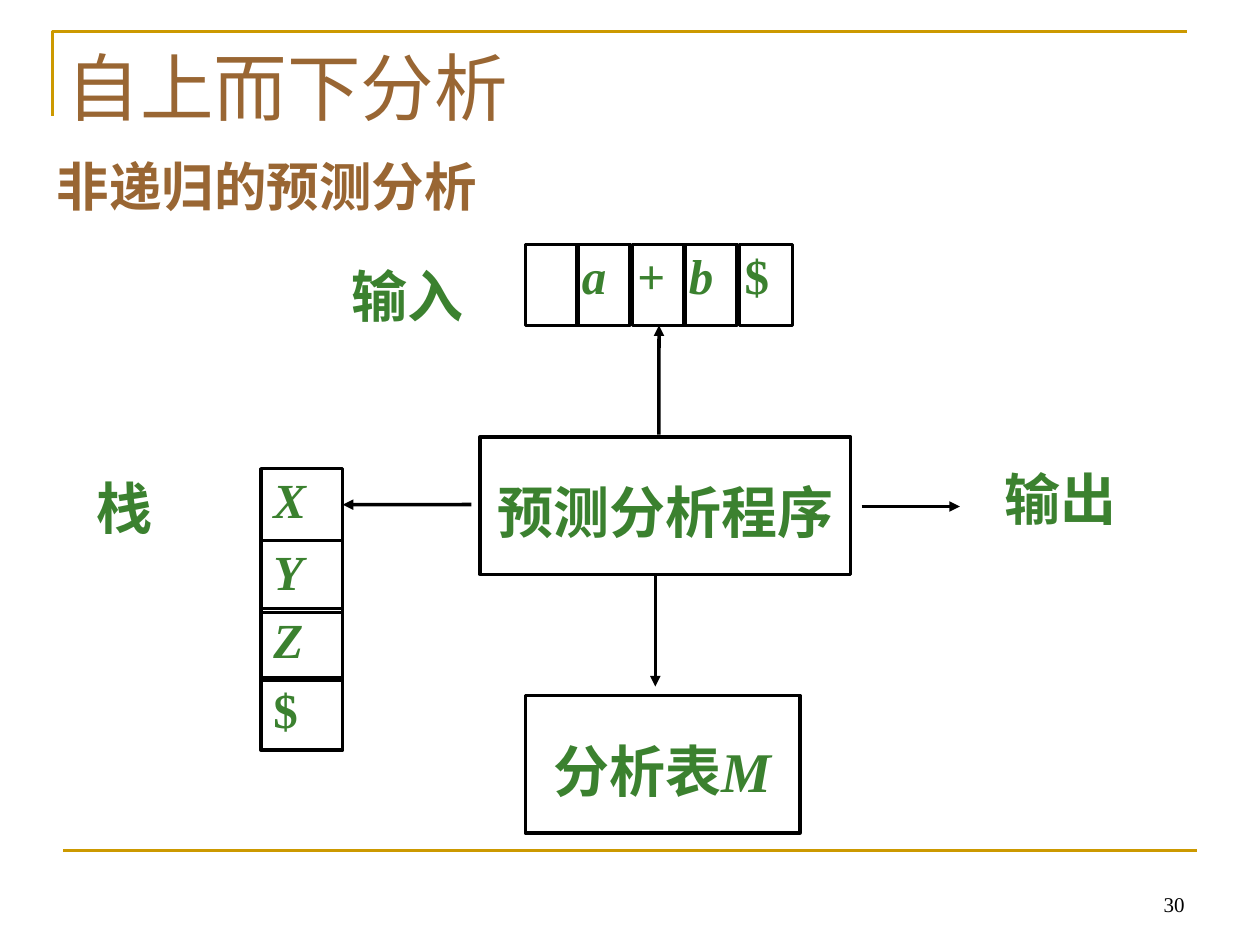
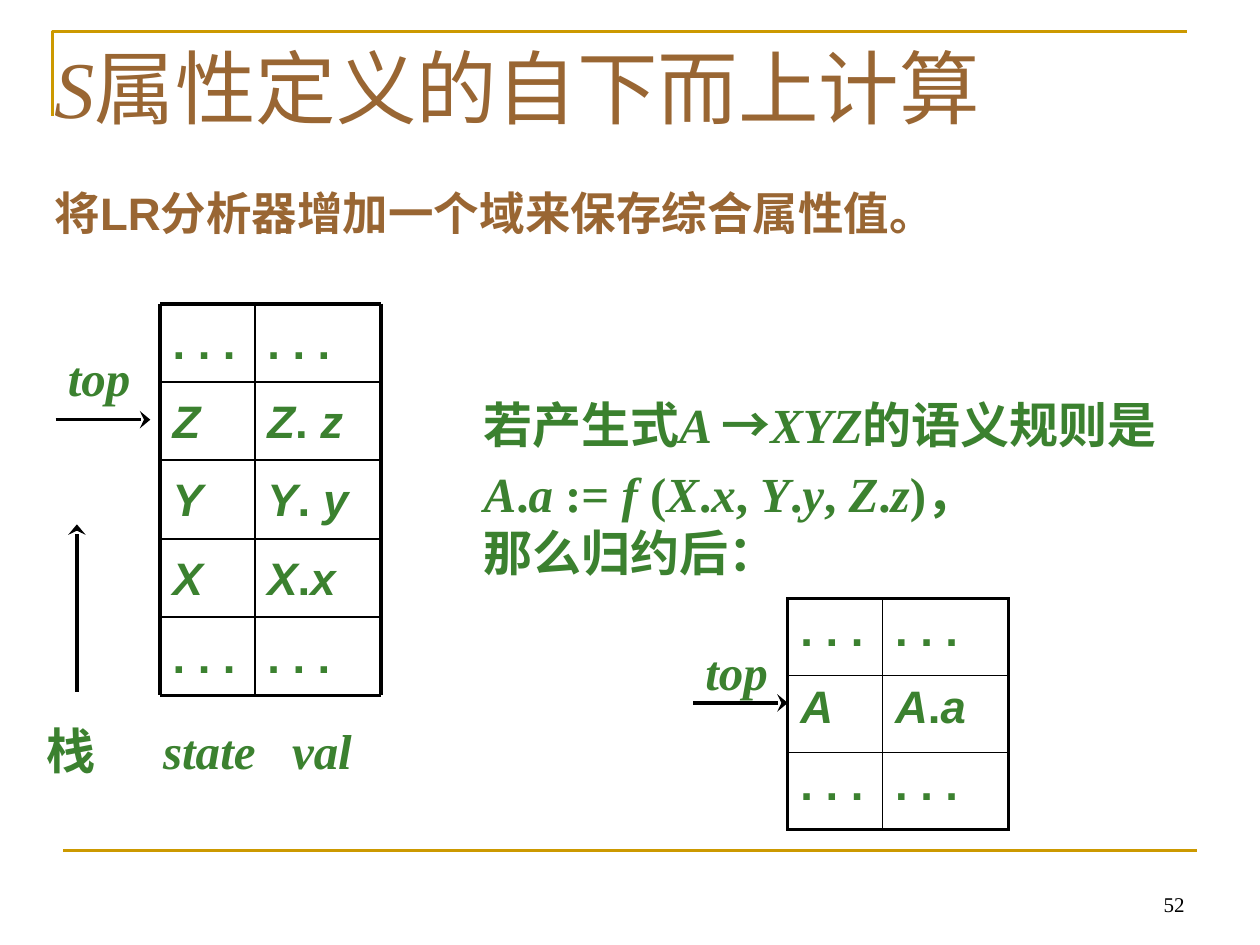
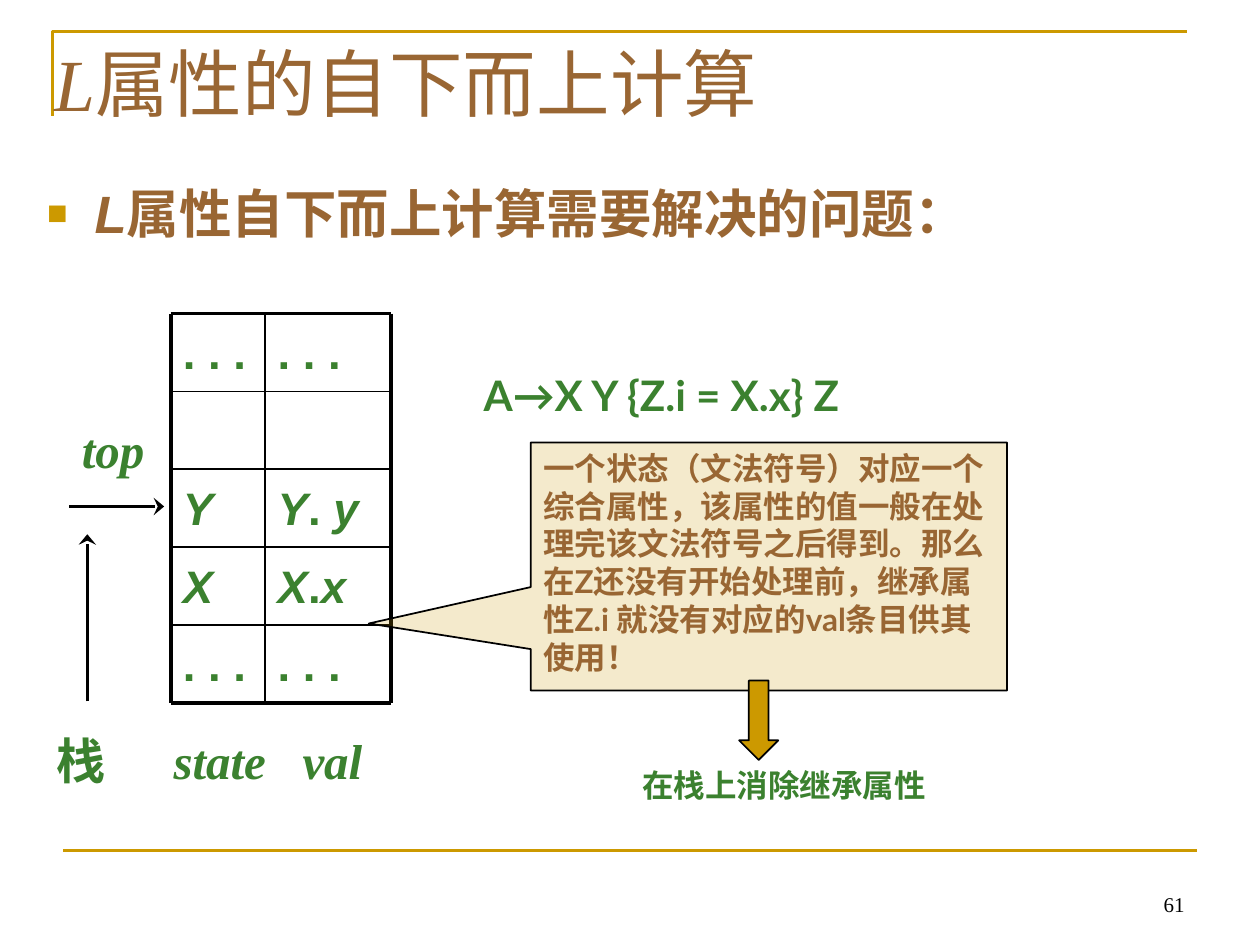
from typing import NamedTuple, Optional, Sequence

from lxml import etree
from pptx import Presentation
from pptx import util as u
from pptx.dml import color as dml
from pptx.enum import shapes, text
from pptx.oxml import ns
from pptx.shapes.autoshape import Shape
from pptx.shapes.connector import Connector
from pptx.slide import Slide

GOLD, BROWN, GREEN, BLACK = "CC9900", "996633", "3B812F", "000000"
SERIF, SANS, CJK, LATO = "Times New Roman", "Arial", "Noto Sans CJK SC", "Lato"
TOP, MIDDLE, BOTTOM = (text.MSO_ANCHOR.TOP, text.MSO_ANCHOR.MIDDLE,
                       text.MSO_ANCHOR.BOTTOM)
LEFT, CENTER, RIGHT = (text.PP_ALIGN.LEFT, text.PP_ALIGN.CENTER,
                       text.PP_ALIGN.RIGHT)
RECT = shapes.MSO_SHAPE.RECTANGLE
INSETS = (0.25, 0.13, 0.25, 0.13)
COLUMNS = (1.91, 2.54)
OUTER, INNER = 2.25, 1


class Box(NamedTuple):
    left: float
    top: float
    width: float
    height: float

    def lengths(self) -> list:
        return [u.Cm(side) for side in self]


class Arrow(NamedTuple):
    x1: float
    y1: float
    x2: float
    y2: float
    head: str = "triangle"
    head_width: str = "med"


class Stack(NamedTuple):
    left: float
    top: float
    row_height: float
    rows: Sequence[tuple]


def rgb(value: str) -> dml.RGBColor:
    return dml.RGBColor.from_string(value)


def child(parent, tag: str, **attributes: str):
    return etree.SubElement(parent, ns.qn(tag), attributes)


def add_bullet(paragraph) -> None:
    properties = paragraph._p.get_or_add_pPr()
    properties.set("marL", str(u.Cm(0.96)))
    properties.set("indent", str(-u.Cm(0.96)))
    child(child(properties, "a:buClr"), "a:srgbClr", val=GOLD)
    child(properties, "a:buSzPct", val="65000")
    child(properties, "a:buFont", typeface=SANS)
    child(properties, "a:buChar", char="■")


def write(frame, content: str, *, size: float = 28, font: str = SERIF,
          colour: str = GREEN, bold: bool = True, align=LEFT,
          spacing: Optional[float] = None, first_gap: float = 0,
          bullet: bool = False) -> None:
    """Parts of the content between asterisks are set in italics."""
    for index, line in enumerate(content.split("\n")):
        paragraph = frame.add_paragraph() if index else frame.paragraphs[0]
        paragraph.alignment = align
        if spacing:
            paragraph.line_spacing = spacing
        if first_gap and index == 0:
            paragraph.space_after = u.Pt(first_gap)
        if bullet:
            add_bullet(paragraph)
        for position, part in enumerate(line.split("*")):
            if not part:
                continue
            run = paragraph.add_run()
            run.text = part
            run.font.size = u.Pt(size)
            run.font.bold = bold
            run.font.italic = position % 2 == 1
            run.font.color.rgb = rgb(colour)
            run.font.name = CJK if part == "→" else font
            child(run._r.get_or_add_rPr(), "a:ea", typeface=CJK)


def lay_out(frame, anchor=TOP, insets: tuple = INSETS) -> None:
    frame.word_wrap = True
    frame.vertical_anchor = anchor
    (frame.margin_left, frame.margin_top,
     frame.margin_right, frame.margin_bottom) = map(u.Cm, insets)


def label(slide: Slide, box: Box, content: str, *, anchor=TOP, **style) -> None:
    frame = slide.shapes.add_textbox(*box.lengths()).text_frame
    lay_out(frame, anchor)
    write(frame, content, **style)


def shape(slide: Slide, kind, box: Box, content: str = "", *,
          fill: Optional[str] = None, weight: float = 2,
          insets: tuple = INSETS, **style) -> Shape:
    item = slide.shapes.add_shape(kind, *box.lengths())
    item.shadow.inherit = False
    item.line.color.rgb = rgb(BLACK)
    item.line.width = u.Pt(weight)
    if fill:
        item.fill.solid()
        item.fill.fore_color.rgb = rgb(fill)
    else:
        item.fill.background()
    if content:
        lay_out(item.text_frame, insets=insets)
        write(item.text_frame, content, **style)
    return item


def straight(slide: Slide, ends: Sequence[float], colour: str,
             weight: float) -> Connector:
    line = slide.shapes.add_connector(shapes.MSO_CONNECTOR.STRAIGHT,
                                      *map(u.Cm, ends))
    line.line.color.rgb = rgb(colour)
    line.line.width = u.Pt(weight)
    child(line._element.spPr, "a:effectLst")
    return line


def draw_arrow(slide: Slide, arrow: Arrow) -> Connector:
    line = straight(slide, arrow[:4], BLACK, 2)
    child(line.line._get_or_add_ln(), "a:tailEnd", type=arrow.head,
          w=arrow.head_width)
    return line


def set_borders(cell, edges: dict) -> None:
    properties = cell._tc.get_or_add_tcPr()
    for index, (side, outer) in enumerate(edges.items()):
        border = child(properties, f"a:ln{side}",
                       w=str(u.Pt(OUTER if outer else INNER)))
        child(child(border, "a:solidFill"), "a:srgbClr", val=BLACK)
        properties.insert(index, border)


def draw_table(slide: Slide, stack: Stack) -> None:
    count = len(stack.rows)
    box = Box(stack.left, stack.top, sum(COLUMNS), count * stack.row_height)
    table = slide.shapes.add_table(count, 2, *box.lengths()).table
    table.first_row = table.horz_banding = False
    for column, width in zip(table.columns, COLUMNS):
        column.width = u.Cm(width)
    for r, entries in enumerate(stack.rows):
        table.rows[r].height = u.Cm(stack.row_height)
        for c, entry in enumerate(entries):
            cell = table.cell(r, c)
            cell.fill.background()
            set_borders(cell, {"L": c == 0, "R": c == 1,
                               "T": r == 0, "B": r == count - 1})
            write(cell.text_frame, entry, size=26, font=SANS)


def draw_ruled_stack(slide: Slide, stack: Stack) -> None:
    count = len(stack.rows)
    xs = (stack.left, stack.left + COLUMNS[0], stack.left + sum(COLUMNS))
    ys = [stack.top + i * stack.row_height for i in range(count + 1)]
    for y, entries in zip(ys, stack.rows):
        for x, width, entry in zip(xs, COLUMNS, entries):
            if entry:
                label(slide, Box(x, y + 0.09, width, stack.row_height), entry,
                      size=26, font=SANS)
    for y in ys:
        straight(slide, (xs[0], y, xs[-1], y), BLACK,
                 OUTER if y in (ys[0], ys[-1]) else INNER)
    for x in xs:
        straight(slide, (x, ys[0], x, ys[-1]), BLACK,
                 OUTER if x in (xs[0], xs[-1]) else INNER)


def draw_labelled_stack(slide: Slide, stack: Stack) -> None:
    draw_ruled_stack(slide, stack)
    for offset, name in ((-2.54, "栈"), (-0.19, "*state*"), (2.41, "*val*")):
        label(slide, Box(stack.left + offset, stack.top + 8.26, 2.6, 1.47), name,
              anchor=MIDDLE)
    growth_x = stack.left - 1.68
    draw_arrow(slide, Arrow(growth_x, stack.top + 7.82,
                            growth_x, stack.top + 4.45, "stealth", "lg"))


def point_to_top(slide: Slide, x: float, y: float, rise: float) -> None:
    draw_arrow(slide, Arrow(x, y, x + 1.91, y, "stealth", "lg"))
    label(slide, Box(x, y - rise, 2.2, 1.27), "*top*", anchor=MIDDLE)


def start_slide(deck, title: str, number: int, *, title_size: float = 42,
                title_box: Box = Box(0.85, 0.64, 23.29, 3.18)) -> Slide:
    slide = deck.slides.add_slide(deck.slide_layouts[6])
    outline = slide.shapes.build_freeform(u.Cm(1.06), u.Cm(2.33))
    outline.add_line_segments([(u.Cm(1.06), u.Cm(0.63)),
                               (u.Cm(23.92), u.Cm(0.63))], close=False)
    corner = outline.convert_to_shape()
    corner.shadow.inherit = False
    corner.fill.background()
    corner.line.color.rgb = rgb(GOLD)
    corner.line.width = u.Pt(1.5)
    straight(slide, (1.27, 17.15, 24.13, 17.15), GOLD, 1.5)
    label(slide, title_box, title, size=title_size, colour=BROWN, bold=False)
    label(slide, Box(18.21, 17.35, 5.92, 1.27), str(number), size=12,
          colour=BLACK, bold=False, align=RIGHT, anchor=BOTTOM)
    return slide


def predictive_parsing(deck) -> None:
    slide = start_slide(deck, "自上而下分析", 30,
                        title_box=Box(1.1, 0.71, 21.59, 3.18))
    label(slide, Box(0.9, 3.12, 23.06, 1.47), "非递归的预测分析",
          size=30, font=SANS, colour=BROWN, spacing=0.9)

    tape = [shape(slide, RECT, Box(left, 4.93, 1.07, 1.63), symbol,
                  insets=(0.1, 0.02, 0.05, 0.02))
            for left, symbol in zip((10.59, 11.63, 12.75, 13.79, 14.91),
                                    ("", "*a*", "+", "*b*", "$"))]
    symbols = [shape(slide, RECT, Box(5.26, top, 1.65, 1.45), symbol,
                     insets=(0.25, 0.02, 0.25, 0.13))
               for top, symbol in zip((9.45, 10.9, 12.27, 13.67),
                                      ("*X*", "*Y*", "*Z*", "$"))]
    for box, content in ((Box(9.68, 8.81, 7.47, 2.77), "预测分析程序"),
                         (Box(10.59, 14.02, 5.54, 2.77), "分析表*M*")):
        shape(slide, RECT, box, content, size=32, align=CENTER, spacing=1.4,
              insets=(0.25, 0.28, 0.25, 0.13))
    for box, content in ((Box(6.83, 5.15, 2.9, 1.8), "输入"),
                         (Box(20.01, 9.23, 2.87, 1.83), "输出"),
                         (Box(1.7, 9.42, 2.67, 1.83), "栈")):
        label(slide, box, content, size=32)

    to_input = draw_arrow(slide, Arrow(13.28, 8.76, 13.28, 6.63))
    to_input.end_connect(tape[2], 2)
    to_stack = draw_arrow(slide, Arrow(9.5, 10.17, 6.96, 10.17))
    to_stack.end_connect(symbols[0], 3)
    draw_arrow(slide, Arrow(13.21, 11.58, 13.21, 13.84))
    draw_arrow(slide, Arrow(17.37, 10.21, 19.35, 10.21))


DOTS = (". . .", ". . .")
X_ROW, Y_ROW, Z_ROW = ("*X*", "*X*.*x*"), ("*Y*", "*Y*. *y*"), ("*Z*", "*Z*. *z*")


def synthesized_attributes(deck) -> None:
    slide = start_slide(deck, "*S*属性定义的自下而上计算", 52, title_size=46)
    label(slide, Box(0.85, 3.61, 23.93, 1.5), "将LR分析器增加一个域来保存综合属性值。",
          size=26, font=SANS, colour=BROWN)
    draw_labelled_stack(slide, Stack(3.23, 6.12, 1.58,
                                     (DOTS, Z_ROW, Y_ROW, X_ROW, DOTS)))
    point_to_top(slide, 1.12, 8.46, 1.5)
    label(slide, Box(9.5, 7.82, 15, 3.81),
          "若产生式*A *→*XYZ*的语义规则是\n"
          "*A*.*a* := *f *(*X*.*x*, *Y*.*y*, *Z*.*z*)，\n"
          "那么归约后：", first_gap=6)
    draw_table(slide, Stack(15.88, 12.07, 1.55, (DOTS, ("*A*", "*A*.*a*"), DOTS)))
    point_to_top(slide, 13.97, 14.17, 1.27)


def inherited_attributes(deck) -> None:
    slide = start_slide(deck, "*L*属性的自下而上计算", 61)
    label(slide, Box(0.7, 3.53, 22.86, 2.01), "*L*属性自下而上计算需要解决的问题：",
          size=30, font=SANS, colour=BROWN, bullet=True)
    draw_labelled_stack(slide, Stack(3.44, 6.32, 1.57,
                                     (DOTS, ("", ""), Y_ROW, X_ROW, DOTS)))
    point_to_top(slide, 1.4, 10.21, 1.8)
    label(slide, Box(9.5, 7.32, 10.59, 1.27), "A→X Y {Z.i = X.x} Z",
          size=24, font=LATO)
    problem = shape(
        slide, shapes.MSO_SHAPE.RECTANGULAR_CALLOUT, Box(10.7, 8.92, 9.6, 5),
        "一个状态（文法符号）对应一个综合属性，该属性的值一般在处理完该文法符号之后得到。"
        "那么在Z还没有开始处理前，继承属性Z.i 就没有对应的val条目供其使用！",
        fill=GOLD, weight=1, size=18, font=LATO, colour=BROWN)
    problem.adjustments[0], problem.adjustments[1] = -0.84, 0.23
    tint = problem._element.spPr.find(ns.qn("a:solidFill"))[0]
    child(tint, "a:alpha", val="20000")
    shape(slide, shapes.MSO_SHAPE.DOWN_ARROW, Box(14.9, 13.72, 0.79, 1.6),
          fill=GOLD, weight=1)
    label(slide, Box(12.7, 15.32, 6.81, 1.02), "在栈上消除继承属性",
          size=18, font=LATO)


def main() -> None:
    deck = Presentation()
    deck.slide_width, deck.slide_height = u.Cm(25.4), u.Cm(19.05)
    predictive_parsing(deck)
    synthesized_attributes(deck)
    inherited_attributes(deck)
    deck.save("out.pptx")


if __name__ == "__main__":
    main()
